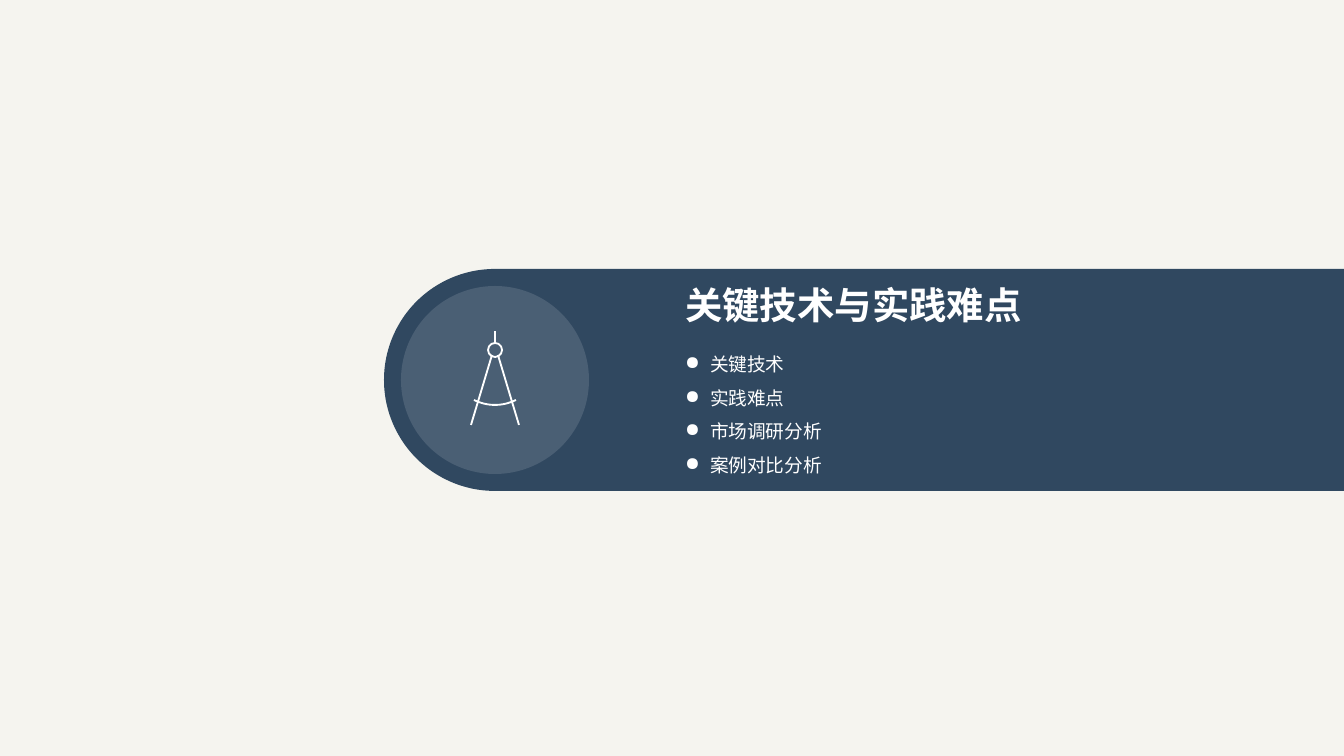
import math
from dataclasses import dataclass

import lxml.etree
import pptx
import pptx.dml.color
import pptx.enum.shapes
import pptx.enum.text
import pptx.oxml.ns
import pptx.util

# Content
TITLE = "关键技术与实践难点"
TOPICS = ["关键技术", "实践难点", "市场调研分析", "案例对比分析"]

# Geometry in px
PX = 914400 / 134.4
SLIDE_WIDTH, SLIDE_HEIGHT = 1344, 756
CENTER_X, CENTER_Y = 495, 380
BAND_RADIUS, DISC_RADIUS = 111, 94
TITLE_BOX = (672, 276, 380, 59)
TOPICS_BOX = (672, 335, 165, 145)
BULLET_INDENT = 25
HINGE_Y, HINGE_RADIUS = 350, 7
LEG_TOP, LEG_FOOT = (3, 355), (24, 425)  # offset from the centre line, y
STEM_TOP = 331
ARC_HALF_WIDTH, ARC_TOP, ARC_SAG = 21, 400, 5


@dataclass(frozen=True)
class Theme:
    background: str = "F5F4EF"
    band: str = "304860"
    disc: str = "4A5F74"
    ink: str = "FFFFFF"
    font: str = "Noto Sans CJK SC"
    title_size: int = 20
    topic_size: int = 10
    line_width: int = 1


THEME = Theme()


def emu(pixels):
    return pptx.util.Emu(round(pixels * PX))


def color(value):
    return pptx.dml.color.RGBColor.from_string(value)


def style_shape(shape, fill=None, line=None):
    shape.shadow.inherit = False
    if fill:
        shape.fill.solid()
        shape.fill.fore_color.rgb = color(fill)
    else:
        shape.fill.background()
    if line:
        shape.line.color.rgb = color(line)
        shape.line.width = pptx.util.Pt(THEME.line_width)
    else:
        shape.line.fill.background()


def add_circle(shapes, x, y, radius, **style):
    oval = pptx.enum.shapes.MSO_SHAPE.OVAL
    box = (x - radius, y - radius, 2 * radius, 2 * radius)
    style_shape(shapes.add_shape(oval, *map(emu, box)), **style)


def add_path(shapes, points, close, **style):
    points = [(emu(x), emu(y)) for x, y in points]
    builder = shapes.build_freeform(*points[0], scale=1.0)
    builder.add_line_segments(points[1:], close=close)
    style_shape(builder.convert_to_shape(), **style)


def add_line(shapes, start, end):
    straight = pptx.enum.shapes.MSO_CONNECTOR.STRAIGHT
    line = shapes.add_connector(straight, *map(emu, start + end))
    line.line.color.rgb = color(THEME.ink)
    line.line.width = pptx.util.Pt(THEME.line_width)
    properties = line._element.spPr
    lxml.etree.SubElement(properties, pptx.oxml.ns.qn("a:effectLst"))


def arc_points(x, y, radius, first, last, steps):
    angles = [math.radians(first + (last - first) * i / steps) for i in range(steps + 1)]
    return [(x + radius * math.cos(a), y + radius * math.sin(a)) for a in angles]


def add_text(shapes, box, lines, size, bold=False, bullet=None, spacing=1.0, wrap=True):
    frame = shapes.add_textbox(*map(emu, box)).text_frame
    frame.word_wrap = wrap
    frame.vertical_anchor = pptx.enum.text.MSO_ANCHOR.TOP
    for index, text in enumerate(lines):
        paragraph = frame.paragraphs[0] if index == 0 else frame.add_paragraph()
        paragraph.line_spacing = spacing
        run = paragraph.add_run()
        run.text = text
        run.font.name = THEME.font
        run.font.size = pptx.util.Pt(size)
        run.font.bold = bold
        run.font.color.rgb = color(THEME.ink)
        east_asian = lxml.etree.SubElement(run.font._element, pptx.oxml.ns.qn("a:ea"))
        east_asian.set("typeface", THEME.font)
        if bullet:
            properties = paragraph._p.get_or_add_pPr()
            properties.set("marL", str(emu(BULLET_INDENT)))
            properties.set("indent", str(-emu(BULLET_INDENT)))
            mark = lxml.etree.SubElement(properties, pptx.oxml.ns.qn("a:buChar"))
            mark.set("char", bullet)


def add_compass(shapes):
    group = shapes.add_group_shape().shapes
    add_circle(group, CENTER_X, HINGE_Y, HINGE_RADIUS, line=THEME.ink)
    radius = (ARC_HALF_WIDTH ** 2 + ARC_SAG ** 2) / (2 * ARC_SAG)
    sweep = math.degrees(math.asin(ARC_HALF_WIDTH / radius))
    arc_center = ARC_TOP + ARC_SAG - radius
    arc = arc_points(CENTER_X, arc_center, radius, 90 + sweep, 90 - sweep, 16)
    add_path(group, arc, close=False, line=THEME.ink)
    for side in (1, -1):
        foot, top = ((CENTER_X + side * dx, y) for dx, y in (LEG_FOOT, LEG_TOP))
        add_line(group, foot, top)
    add_line(group, (CENTER_X, HINGE_Y - HINGE_RADIUS), (CENTER_X, STEM_TOP))


def main():
    presentation = pptx.Presentation()
    presentation.slide_width = emu(SLIDE_WIDTH)
    presentation.slide_height = emu(SLIDE_HEIGHT)
    slide = presentation.slides.add_slide(presentation.slide_layouts[6])
    slide.background.fill.solid()
    slide.background.fill.fore_color.rgb = color(THEME.background)
    shapes = slide.shapes

    # Band with a round left end, and its disc
    round_end = arc_points(CENTER_X, CENTER_Y, BAND_RADIUS, 90, 270, 90)
    right_edge = [(SLIDE_WIDTH, CENTER_Y - BAND_RADIUS), (SLIDE_WIDTH, CENTER_Y + BAND_RADIUS)]
    add_path(shapes, round_end + right_edge, close=True, fill=THEME.band)
    add_circle(shapes, CENTER_X, CENTER_Y, DISC_RADIUS, fill=THEME.disc)

    # Text
    add_text(shapes, TOPICS_BOX, TOPICS, THEME.topic_size, bullet="●", spacing=1.5, wrap=False)
    add_text(shapes, TITLE_BOX, [TITLE], THEME.title_size, bold=True)

    # Drawing compass icon
    add_compass(shapes)

    presentation.save("out.pptx")


if __name__ == "__main__":
    main()
